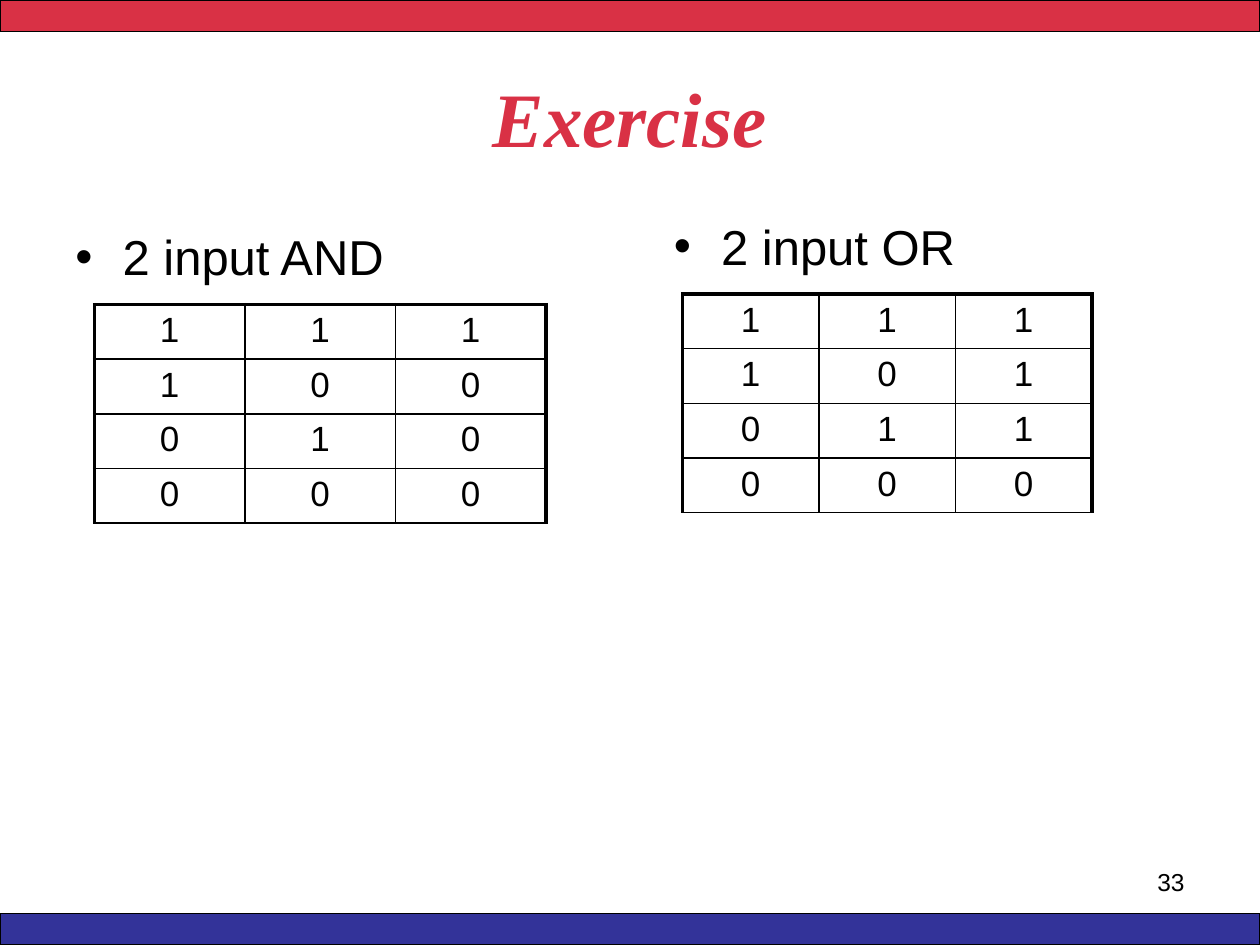
from pptx import Presentation
from pptx import util as u
from pptx.dml import color
from pptx.enum import shapes, text
from pptx.oxml import xmlchemy, ns
from lxml import etree

BLACK, RED, BLUE = "000000", "D93145", "333399"
THIN, THICK = 1, 2.25


def rgb(value):
    return color.RGBColor.from_string(value)


def points(*values):
    return [u.Pt(value) for value in values]


def write(frame, content, size, font="Arial", fill=BLACK, bold=False,
          italic=False, align=text.PP_ALIGN.LEFT, before=0):
    """Write one formatted paragraph and return it."""
    frame.word_wrap = True
    paragraph = frame.paragraphs[0]
    paragraph.alignment = align
    paragraph.space_before = u.Pt(before)
    run = paragraph.add_run()
    run.text = content
    run.font.size = u.Pt(size)
    run.font.name = font
    run.font.bold, run.font.italic = bold, italic
    run.font.color.rgb = rgb(fill)
    return paragraph


def add_bullet(paragraph, indent):
    properties = paragraph._p.get_or_add_pPr()
    properties.set("marL", str(u.Pt(indent)))
    properties.set("indent", str(-u.Pt(indent)))
    etree.SubElement(properties, ns.qn("a:buFont")).set("typeface", "Arial")
    etree.SubElement(properties, ns.qn("a:buChar")).set("char", "•")


def set_border(cell, side, width):
    line = etree.SubElement(cell._tc.get_or_add_tcPr(), ns.qn("a:ln" + side))
    line.set("w", str(u.Pt(width)))
    fill = etree.SubElement(line, ns.qn("a:solidFill"))
    etree.SubElement(fill, ns.qn("a:srgbClr")).set("val", BLACK)


def add_bar(slide, top, fill):
    bar = slide.shapes.add_shape(shapes.MSO_SHAPE.RECTANGLE,
                                 *points(0, top, 720, 18))
    bar.shadow.inherit = False
    bar.fill.solid()
    bar.fill.fore_color.rgb = rgb(fill)
    bar.line.color.rgb = rgb(BLACK)
    bar.line.width = u.Pt(0.75)


def add_title(slide, content, left, top, width, height):
    title = slide.shapes.title
    title.left, title.top, title.width, title.height = points(
        left, top, width, height)
    title.text_frame.vertical_anchor = text.MSO_ANCHOR.MIDDLE
    write(title.text_frame, content, 44, font="Times New Roman", fill=RED,
          bold=True, italic=True, align=text.PP_ALIGN.CENTER)


def add_truth_table(slide, rows, left, top, column_width, row_height=31.2):
    count = len(rows[0])
    table = slide.shapes.add_table(
        len(rows), count, *points(left, top, column_width * count,
                                  row_height * len(rows))).table
    table.first_row = table.horz_banding = False
    for column in table.columns:
        column.width = u.Pt(column_width)
    for i, values in enumerate(rows):
        table.rows[i].height = u.Pt(row_height)
        for j, value in enumerate(values):
            cell = table.cell(i, j)
            write(cell.text_frame, value, 20, align=text.PP_ALIGN.CENTER)
            # Thick outer edges, except at the bottom
            set_border(cell, "L", THICK if j == 0 else THIN)
            set_border(cell, "R", THICK if j == count - 1 else THIN)
            set_border(cell, "T", THICK if i == 0 else THIN)
            set_border(cell, "B", THIN)
            cell.fill.background()


def add_gate(slide, name, rows, left, top, table_inset, column_width):
    """Bulleted gate name with its truth table below."""
    box = slide.shapes.add_textbox(*points(left, top, 318, 356))
    add_bullet(write(box.text_frame, name, 28, before=3), 27)
    add_truth_table(slide, rows, left + table_inset, top + 48, column_width)


presentation = Presentation()
presentation.slide_width, presentation.slide_height = points(720, 540)
slide = presentation.slides.add_slide(presentation.slide_layouts[5])

# Bars and title
add_bar(slide, 0, RED)
add_bar(slide, 522, BLUE)
add_title(slide, "Exercise", 36, 21.6, 648, 90)

# Gates
add_gate(slide, "2 input AND", ["111", "100", "010", "000"], 36, 126, 18, 86)
add_gate(slide, "2 input OR", ["111", "101", "011", "000"], 378, 120, 12, 78)

# Slide number
number = slide.shapes.add_textbox(*points(516, 492, 168, 37.5))
write(number.text_frame, "33", 14, align=text.PP_ALIGN.RIGHT)

presentation.save("out.pptx")
